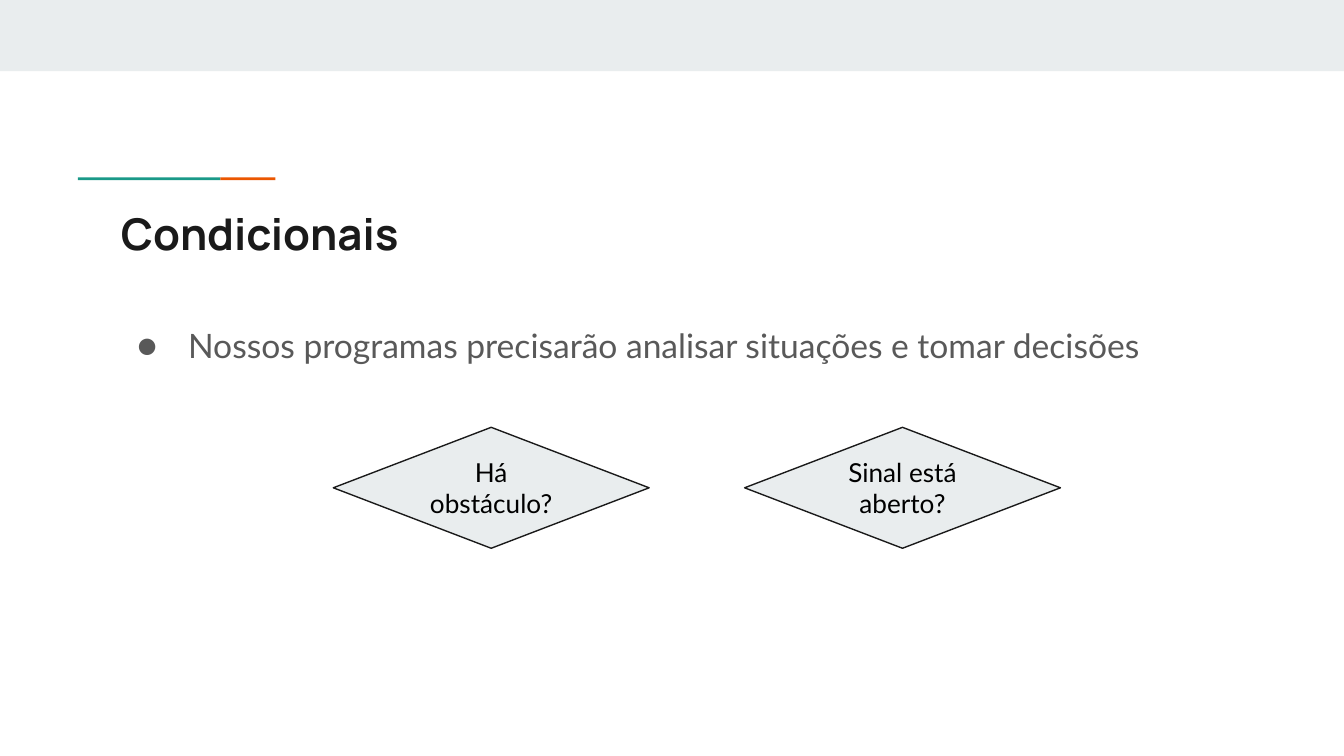
"""Build the slide on conditionals, with two decision diamonds."""
from dataclasses import dataclass

from lxml import etree
from pptx import Presentation
from pptx.dml.color import RGBColor
from pptx.enum.shapes import MSO_SHAPE
from pptx.enum.text import MSO_ANCHOR, MSO_AUTO_SIZE, PP_ALIGN
from pptx.oxml.ns import qn
from pptx.util import Inches, Pt

RECT, DIAMOND = MSO_SHAPE.RECTANGLE, MSO_SHAPE.DIAMOND
TOP, MIDDLE = MSO_ANCHOR.TOP, MSO_ANCHOR.MIDDLE
LEFT, CENTER = PP_ALIGN.LEFT, PP_ALIGN.CENTER
FIXED = MSO_AUTO_SIZE.NONE


@dataclass(frozen=True)
class Theme:
    """Colours, fonts and type sizes."""
    pale: str = "E9EDEE"
    teal: str = "1A9988"
    orange: str = "EB5600"
    ink: str = "1A1A1A"
    gray: str = "595959"
    black: str = "000000"
    head: str = "Manrope"
    text: str = "Lato"
    title: float = 23.4
    body: float = 18
    label: float = 14


@dataclass(frozen=True)
class Box:
    """A place on the slide, in inches."""
    left: float
    top: float
    width: float
    height: float


@dataclass(frozen=True)
class Bar:
    """A plain filled strip."""
    box: Box
    color: str


THEME = Theme()
BARS = [
    Bar(Box(0, 0, 10, 0.53), THEME.pale),
    Bar(Box(0.58, 1.32, 1.06, 0.02), THEME.teal),
    Bar(Box(1.64, 1.32, 0.41, 0.02), THEME.orange),
]
TESTS = ["Há obstáculo?", "Sinal está aberto?"]
FIRST = Box(2.48, 3.18, 2.35, 0.9)
STEP = 3.06


def place(shape, box: Box) -> None:
    """Move and size a shape."""
    shape.left, shape.top = Inches(box.left), Inches(box.top)
    shape.width, shape.height = Inches(box.width), Inches(box.height)


def write(shape, text: str, face: str, size: float, color: str,
          bold: bool = False, align=LEFT, anchor=TOP) -> None:
    """Set the text of a shape and format it."""
    frame = shape.text_frame
    frame.text = text
    frame.word_wrap = True
    frame.auto_size = FIXED
    frame.vertical_anchor = anchor
    frame.margin_left = frame.margin_right = Inches(0.1)
    frame.margin_top = frame.margin_bottom = Inches(0.1)
    para = frame.paragraphs[0]
    para.alignment = align
    para.space_before = Pt(0)
    font = para.runs[0].font
    font.name, font.size, font.bold = face, Pt(size), bold
    font.color.rgb = RGBColor.from_string(color)


def bullet(para, color: str) -> None:
    """Give a paragraph a round bullet and a hanging indent."""
    para.line_spacing = 1.15
    props = para._p.get_or_add_pPr()
    props.set("marL", str(Inches(0.5)))
    props.set("indent", str(-Inches(0.38)))
    tint = etree.SubElement(props, qn("a:buClr"))
    etree.SubElement(tint, qn("a:srgbClr"), val=color)
    etree.SubElement(props, qn("a:buFont"), typeface=THEME.text)
    etree.SubElement(props, qn("a:buChar"), char="●")


def draw(slide, kind, box: Box, color: str):
    """Add a filled shape without outline or shadow."""
    shape = slide.shapes.add_shape(kind, 0, 0, 0, 0)
    place(shape, box)
    shape.shadow.inherit = False
    shape.fill.solid()
    shape.fill.fore_color.rgb = RGBColor.from_string(color)
    shape.line.fill.background()
    return shape


def ask(slide, text: str, box: Box) -> None:
    """Add a decision diamond with its question."""
    shape = draw(slide, DIAMOND, box, THEME.pale)
    shape.line.color.rgb = RGBColor.from_string(THEME.ink)
    shape.line.width = Pt(0.75)
    write(shape, text, THEME.text, THEME.label, THEME.black,
          align=CENTER, anchor=MIDDLE)


def main() -> None:
    """Build and save the slide."""
    deck = Presentation()
    deck.slide_width, deck.slide_height = Inches(10), Inches(10 * 9 / 16)
    slide = deck.slides.add_slide(deck.slide_layouts[1])
    title, body = slide.placeholders
    for bar in BARS:
        draw(slide, RECT, bar.box, bar.color)
    place(title, Box(0.8, 1.44, 8.41, 0.59))
    write(title, "Condicionais", THEME.head, THEME.title, THEME.ink, bold=True)
    place(body, Box(0.8, 2.27, 8.41, 2.47))
    write(body, "Nossos programas precisarão analisar situações e tomar decisões",
          THEME.text, THEME.body, THEME.gray)
    bullet(body.text_frame.paragraphs[0], THEME.gray)
    for index, text in enumerate(TESTS):
        left = FIRST.left + index * STEP
        ask(slide, text, Box(left, FIRST.top, FIRST.width, FIRST.height))
    deck.save("out.pptx")


if __name__ == "__main__":
    main()
